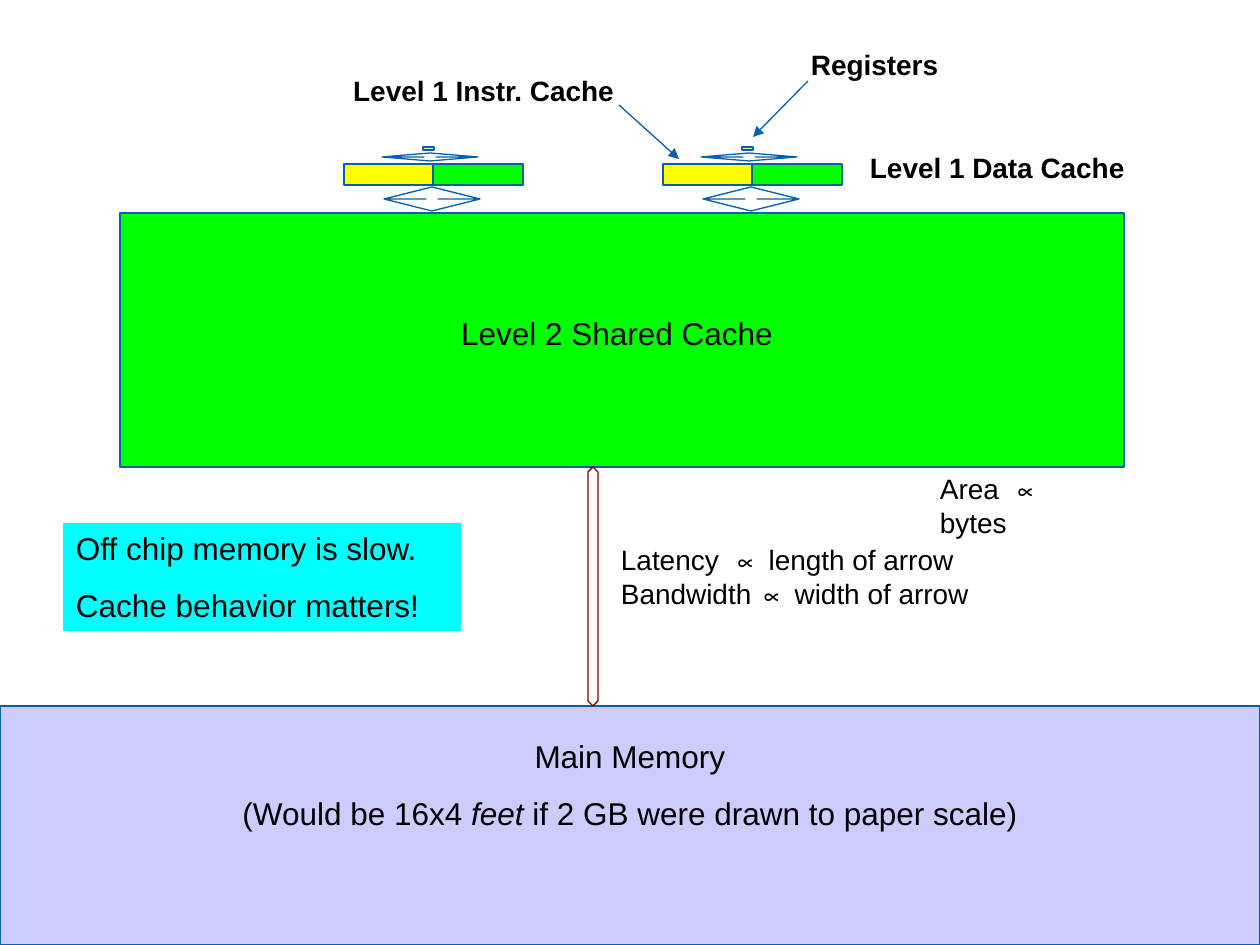
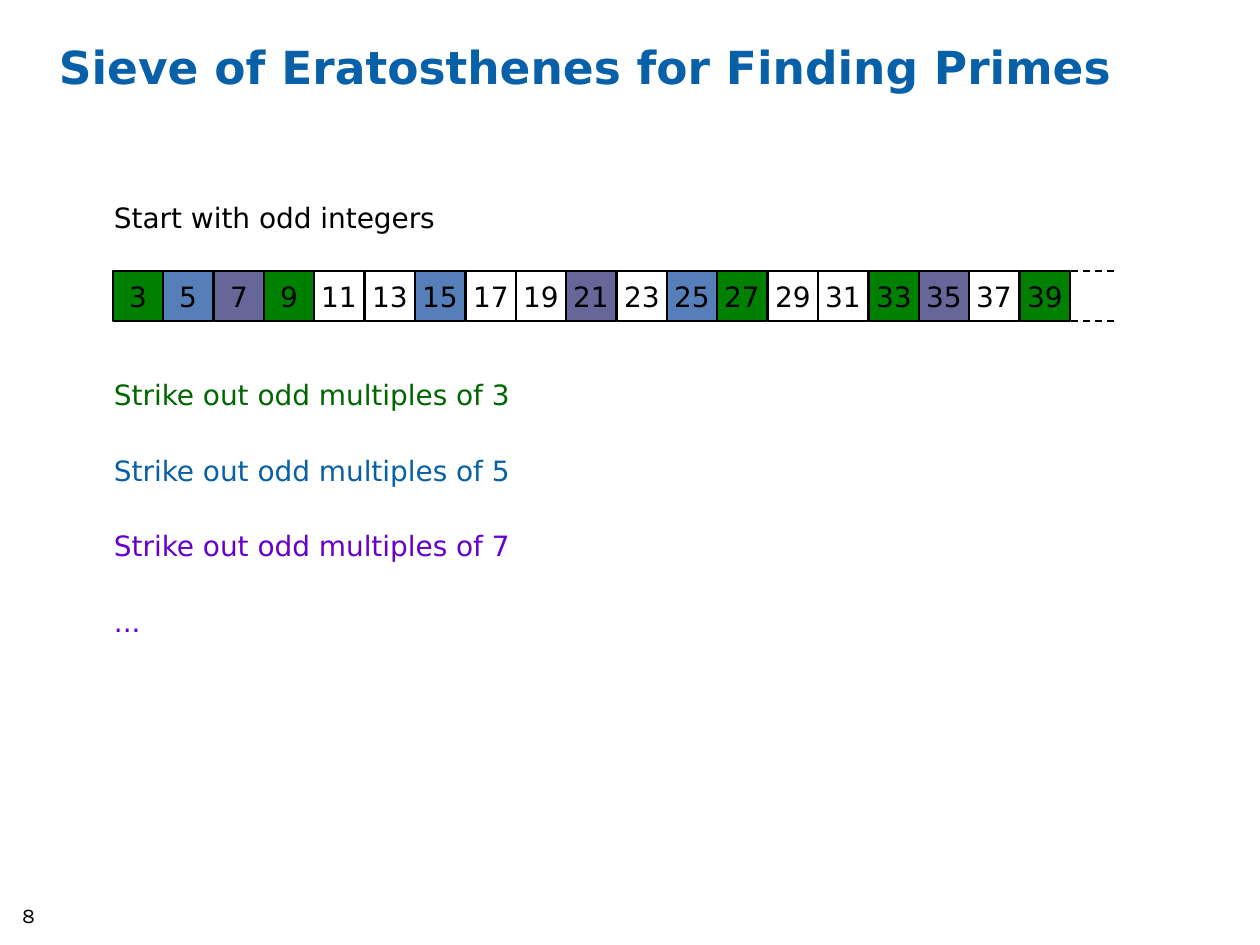
from dataclasses import dataclass

from lxml.etree import SubElement as Sub
from pptx import Presentation
from pptx.dml.color import RGBColor as Rgb
from pptx.enum.dml import MSO_LINE_DASH_STYLE as Dash
from pptx.enum.shapes import MSO_CONNECTOR as Link, MSO_SHAPE as Kind
from pptx.enum.text import MSO_ANCHOR as Anchor, PP_ALIGN as Align
from pptx.oxml.ns import qn
from pptx.util import Pt

SCALE = 914400 / 126  # EMU per px


@dataclass(frozen=True)
class Theme:
    blue: str = "0860A8"
    black: str = "000000"
    maroon: str = "800000"
    lime: str = "00FF00"
    yellow: str = "FFFF00"
    mint: str = "CCFFCC"
    cyan: str = "00FFFF"
    lilac: str = "CCCCFF"
    green: str = "006600"
    violet: str = "6600CC"
    threes: str = "008000"
    fives: str = "567EB9"
    sevens: str = "666699"
    sans: str = "Arial"
    deja: str = "DejaVu Sans"
    foot: str = "Karla"
    title: int = 26
    large: int = 18
    body: int = 16
    small: int = 12
    thin: float = 0.75


T = Theme()


def px(*nums):
    return [round(n * SCALE) for n in nums]


def apply(target, values):
    for name, value in values.items():
        setattr(target, name, value)


def write(shape, paras, size=T.body, face=T.sans, color=T.black, bold=False,
          align=Align.LEFT, anchor=Anchor.TOP, inset=(13, 6, 13, 6), gap=0,
          tab=None):
    """Fill a shape with paragraphs; words between asterisks are italic."""
    left, top, right, low = px(*inset)
    frame = shape.text_frame
    apply(frame, {"word_wrap": True, "vertical_anchor": anchor,
                  "margin_left": left, "margin_top": top,
                  "margin_right": right, "margin_bottom": low})
    for n, text in enumerate(paras):
        para = frame.add_paragraph() if n else frame.paragraphs[0]
        apply(para, {"alignment": align, "space_before": Pt(gap)})
        if tab:
            stops = Sub(para._p.get_or_add_pPr(), qn("a:tabLst"))
            Sub(stops, qn("a:tab"), pos=str(px(tab)[0]), algn="l")
        for k, part in enumerate(text.split("*")):
            run = para.add_run()
            run.text = part
            apply(run.font, {"name": face, "size": Pt(size), "bold": bold,
                             "italic": k % 2 == 1})
            run.font.color.rgb = Rgb.from_string(color)


def label(slide, box, *paras, **style):
    write(slide.shapes.add_textbox(*px(*box)), paras, **style)


def block(slide, box, fill=None, line=T.blue, width=T.thin,
          kind=Kind.RECTANGLE, adjust=()):
    shape = slide.shapes.add_shape(kind, *px(*box))
    shape.shadow.inherit = False
    for n, value in enumerate(adjust):
        shape.adjustments[n] = value
    if fill:
        shape.fill.solid()
        shape.fill.fore_color.rgb = Rgb.from_string(fill)
    else:
        shape.fill.background()
    if line:
        shape.line.color.rgb = Rgb.from_string(line)
        shape.line.width = Pt(width)
    else:
        shape.line.fill.background()
    return shape


def double(slide, box, adjust=(0.667, 0.125), line=T.blue):
    block(slide, box, line=line, kind=Kind.UP_DOWN_ARROW, adjust=adjust)


def stroke(slide, ends, color=T.blue, width=T.thin, dash=None, head=False):
    link = slide.shapes.add_connector(Link.STRAIGHT, *px(*ends))
    link.line.color.rgb = Rgb.from_string(color)
    apply(link.line, {"width": Pt(width), "dash_style": dash})
    if head:
        Sub(link.line._get_or_add_ln(), qn("a:tailEnd"), type="triangle")
    Sub(link._element.spPr, qn("a:effectLst"))


def core(slide, x):
    """One processor core: registers, two level 1 caches, two data paths."""
    block(slide, (x + 89, 164, 90, 21), T.lime)
    block(slide, (x + 79, 147, 11, 3), T.mint)
    double(slide, (x + 40, 187, 96, 24))
    block(slide, (x, 164, 89, 21), T.yellow)
    double(slide, (x + 38, 153, 96, 8))


def memory(slide):
    # Caches and main memory
    block(slide, (120, 213, 1004, 254), T.lime)
    main_box = block(slide, (0, 706, 1260, 239), T.lilac)
    write(main_box, ["Main Memory",
                     "(Would be 16x4 *feet* if 2 GB were drawn to paper scale)"],
          size=T.large, align=Align.CENTER, inset=(13, 31, 13, 6), gap=11.2)
    label(slide, (398, 308, 438, 50), "Level 2 Shared Cache",
          size=T.large, align=Align.CENTER)
    double(slide, (588, 467, 10, 239), (0.5, 4.85), T.maroon)
    for x in (344, 663):
        core(slide, x)

    # Names of the parts
    label(slide, (189, 68, 438, 47), "Level 1 Instr. Cache",
          bold=True, align=Align.RIGHT)
    label(slide, (857, 145, 403, 47), "Level 1 Data Cache", bold=True)
    label(slide, (798, 42, 199, 47), "Registers", bold=True)
    stroke(slide, (619, 105, 679, 159), head=True)
    stroke(slide, (808, 81, 753, 137), head=True)

    # Reading notes
    label(slide, (608, 537, 428, 81),
          "Latency\t∝ length of arrow Bandwidth ∝ width of arrow", tab=112)
    label(slide, (927, 466, 190, 81), "Area\t∝ bytes", tab=73)
    note = block(slide, (63, 523, 398, 108), T.cyan, line=None)
    write(note, ["Off chip memory is slow.", "Cache behavior matters!"],
          size=T.large, gap=11.2)


def sieve(slide):
    label(slide, (59, 39, 1135, 122), "Sieve of Eratosthenes for Finding Primes",
          size=T.title, face=T.deja, color=T.blue, bold=True, inset=(0,) * 4)
    label(slide, (101, 195, 570, 47), "Start with odd integers", face=T.deja)

    # Row of odd numbers, tinted by the last prime that strikes them out
    tints = {3: T.threes, 5: T.fives, 7: T.sevens}
    odds = range(3, 40, 2)
    left, top, right, side = 113, 271, 1070, 50
    for n, odd in enumerate(odds):
        hits = [tint for prime, tint in tints.items() if odd % prime == 0]
        x = left + round(n * (right - left) / len(odds))
        cell = block(slide, (x, top, side, side), hits[-1] if hits else None,
                     T.black, 1)
        write(cell, [str(odd)], face=T.deja, align=Align.CENTER,
              anchor=Anchor.MIDDLE, inset=(0, 6, 0, 6))
    for y in (top, top + side):
        stroke(slide, (right + 1, y, 1114, y), T.black, 1, Dash.DASH)

    # Steps
    steps = [(f"Strike out odd multiples of {prime}", color) for prime, color
             in zip(tints, (T.green, T.blue, T.violet))]
    for n, (text, color) in enumerate(steps + [("...", T.violet)]):
        label(slide, (101, 372 + round(75.6 * n), 570, 47), text,
              face=T.deja, color=color)

    # Page number
    label(slide, (0, 903, 57, 42), "8", size=T.small, face=T.foot,
          align=Align.CENTER, inset=(0,) * 4)


def main():
    deck = Presentation()
    deck.slide_width, deck.slide_height = px(1260, 945)
    for draw in (memory, sieve):
        draw(deck.slides.add_slide(deck.slide_layouts[6]))
    deck.save("out.pptx")


if __name__ == "__main__":
    main()
